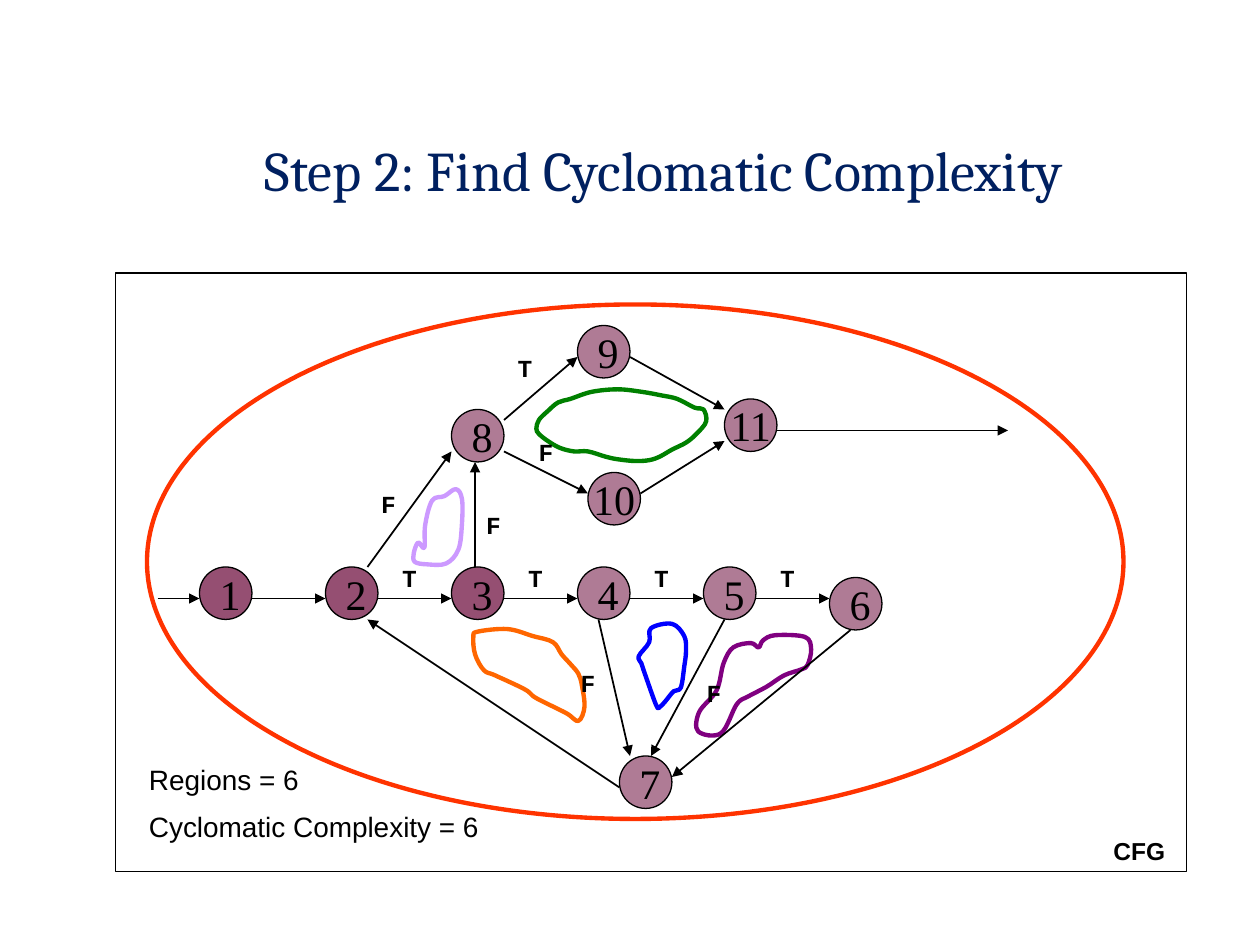
from lxml import etree
from pptx import Presentation
from pptx.dml.color import RGBColor
from pptx.enum.shapes import MSO_CONNECTOR, MSO_SHAPE
from pptx.enum.text import MSO_ANCHOR, PP_ALIGN
from pptx.oxml.ns import qn
from pptx.util import Pt

LEFT, CENTER = PP_ALIGN.LEFT, PP_ALIGN.CENTER
MIDDLE = MSO_ANCHOR.MIDDLE
STRAIGHT = MSO_CONNECTOR.STRAIGHT
OVAL, RECTANGLE = MSO_SHAPE.OVAL, MSO_SHAPE.RECTANGLE
BLACK = "000000"


def rgb(color):
    return RGBColor.from_string(color)


def write(shape, lines, size, font, color=BLACK, bold=False, align=CENTER, wrap=True):
    frame = shape.text_frame
    frame.word_wrap = wrap
    for index, line in enumerate(lines):
        paragraph = frame.add_paragraph() if index else frame.paragraphs[0]
        paragraph.alignment = align
        if index:
            paragraph.space_before = Pt(size / 2)
        run = paragraph.add_run()
        run.text = line
        run.font.size = Pt(size)
        run.font.name = font
        run.font.bold = bold
        run.font.color.rgb = rgb(color)
    return frame


presentation = Presentation()
presentation.slide_width, presentation.slide_height = Pt(720), Pt(540)
slide = presentation.slides.add_slide(presentation.slide_layouts[6])
shapes = slide.shapes

# Title
title = shapes.add_textbox(Pt(119.5), Pt(79.5), Pt(520), Pt(43))
title_frame = write(title, ["Step 2: Find Cyclomatic Complexity"], 32, "Cambria", "002060", wrap=False)
title_frame.paragraphs[0].line_spacing = 0.9
title_frame.margin_left = title_frame.margin_right = Pt(5)
title_frame.margin_top = title_frame.margin_bottom = Pt(2.5)

# Inner regions: closed outlines through hand-drawn points
regions = {
    "008000": [(397, 233), (387, 228), (378, 226), (367, 224), (353, 222.5), (338, 224),
               (326, 228), (319, 230), (313, 235), (308, 240), (306.5, 245), (308, 248),
               (313, 252), (320, 256), (328, 258), (336, 258), (346, 261), (353, 262.5),
               (363, 263.5), (371, 263), (377, 261), (384, 257), (392, 253), (398, 248),
               (403.5, 241), (402, 234)],
    "FF6600": [(326, 379.5), (321, 374), (316, 367), (304.5, 363.5), (290, 359.5),
               (273, 361), (270.5, 364), (271.5, 374), (276.5, 383), (283, 386),
               (300, 394), (306.5, 399), (323.5, 407.5), (330.5, 412), (334, 404),
               (332.5, 391.5), (330.5, 385)],
    "0000FF": [(375, 403), (368.5, 385), (366.5, 379), (365, 375), (371, 367),
               (372, 359), (384, 356.5), (391, 363.5), (392, 372), (391, 381),
               (389, 393), (385, 395), (380, 401), (377, 404)],
    "800080": [(433.5, 370), (436, 366), (443, 363), (460, 364), (463.5, 371),
               (461.5, 380), (458, 382.5), (448, 386), (438, 392.5), (427.5, 398),
               (421, 402.5), (412, 419), (399, 418), (399.5, 407), (409.5, 394.5),
               (413.5, 379), (419, 370), (429, 367.5)],
    "CC99FF": [(242.5, 313), (243, 300), (247, 286), (254, 283.5), (260.5, 279.5),
               (264, 285), (264, 299.5), (262, 314), (255, 322), (244, 322.5),
               (237, 321), (236.5, 316), (239, 310)],
}
for color, points in regions.items():
    corners = [(Pt(x), Pt(y)) for x, y in points]
    builder = shapes.build_freeform(*corners[0])
    builder.add_line_segments(corners[1:] + corners[:1], close=True)
    region = builder.convert_to_shape()
    # Turn each straight segment into a curve with matching tangents
    segments = list(region._element.iter(qn("a:lnTo")))
    for index, segment in enumerate(segments):
        a, b, c, d = (corners[(index + shift) % len(corners)] for shift in (-1, 0, 1, 2))
        controls = [[q + (r - p) / 6 for p, q, r in zip(a, b, c)],
                    [r - (s - q) / 6 for q, r, s in zip(b, c, d)]]
        curve = etree.Element(qn("a:cubicBezTo"))
        for x, y in controls:
            etree.SubElement(curve, qn("a:pt"), x=str(round(x - region.left)),
                             y=str(round(y - region.top)))
        curve.append(segment[0])
        segment.getparent().replace(segment, curve)
    region.shadow.inherit = False
    region.fill.background()
    region.line.color.rgb = rgb(color)
    region.line.width = Pt(2.5)

# Graph nodes: number, left, top; the first three are opaque
nodes = [(1, 114, 324), (2, 186, 324), (3, 258, 324), (4, 330, 324), (5, 402, 324),
         (6, 474, 330), (7, 354, 432), (9, 330, 186), (8, 258, 234), (10, 336, 270),
         (11, 414, 228)]
for number, left, top in nodes:
    node = shapes.add_shape(OVAL, Pt(left), Pt(top), Pt(30), Pt(30))
    node.shadow.inherit = False
    node.fill.solid()
    node.fill.fore_color.rgb = rgb("954F72")
    if number > 3:
        fill_color = node._element.spPr.find(qn("a:solidFill"))[0]
        etree.SubElement(fill_color, qn("a:alpha"), val="75000")
    node.line.color.rgb = rgb(BLACK)
    node.line.width = Pt(0.75)
    align = CENTER if number > 9 else LEFT
    write(node, [str(number)], 24, "Times New Roman", align=align, wrap=False)
    node.text_frame.vertical_anchor = MIDDLE

# Arrows: the row through nodes 1 to 6, then the branches
arrows = [(left, 342, left + 42, 342) for left in range(144, 433, 72)]
arrows += [(90, 342, 114, 342), (486, 360, 384, 444), (414, 354, 372, 432),
           (342, 354, 360, 432), (354, 450, 210, 354), (210, 324, 258, 258),
           (288, 240, 330, 204), (288, 258, 336, 282), (360, 204, 414, 234),
           (366, 282, 414, 252), (444, 246, 576, 246), (271.5, 324, 271.5, 264)]
for ends in arrows:
    arrow = shapes.add_connector(STRAIGHT, *map(Pt, ends))
    arrow.line.color.rgb = rgb(BLACK)
    arrow.line.width = Pt(1)
    properties = arrow._element.spPr
    etree.SubElement(properties.find(qn("a:ln")), qn("a:tailEnd"), type="triangle")
    etree.SubElement(properties, qn("a:effectLst"))

# Diagram frame and outer region
for kind, box, color, width in [(RECTANGLE, (66, 156, 612, 342), BLACK, 1),
                                (OVAL, (84, 174, 558, 294), "FF3300", 2.5)]:
    outline = shapes.add_shape(kind, *map(Pt, box))
    outline.shadow.inherit = False
    outline.fill.background()
    outline.line.color.rgb = rgb(color)
    outline.line.width = Pt(width)

# True and false branch labels
labels = [("T", left, 318) for left in range(216, 433, 72)]
labels += [("T", 282, 198), ("F", 294, 246), ("F", 204, 276), ("F", 318, 378),
           ("F", 390, 384), ("F", 264, 288)]
for text, left, top in labels:
    label = shapes.add_textbox(Pt(left), Pt(top), Pt(36), Pt(24))
    write(label, [text], 14, "Courier New", bold=True)

# Diagram name and result
name = shapes.add_textbox(Pt(624), Pt(474), Pt(54), Pt(24))
write(name, ["CFG"], 14, "Arial", bold=True)
result = shapes.add_textbox(Pt(78), Pt(432), Pt(228), Pt(55.5))
write(result, ["Regions = 6", "Cyclomatic Complexity = 6"], 16, "Arial", align=LEFT)

presentation.save("out.pptx")
